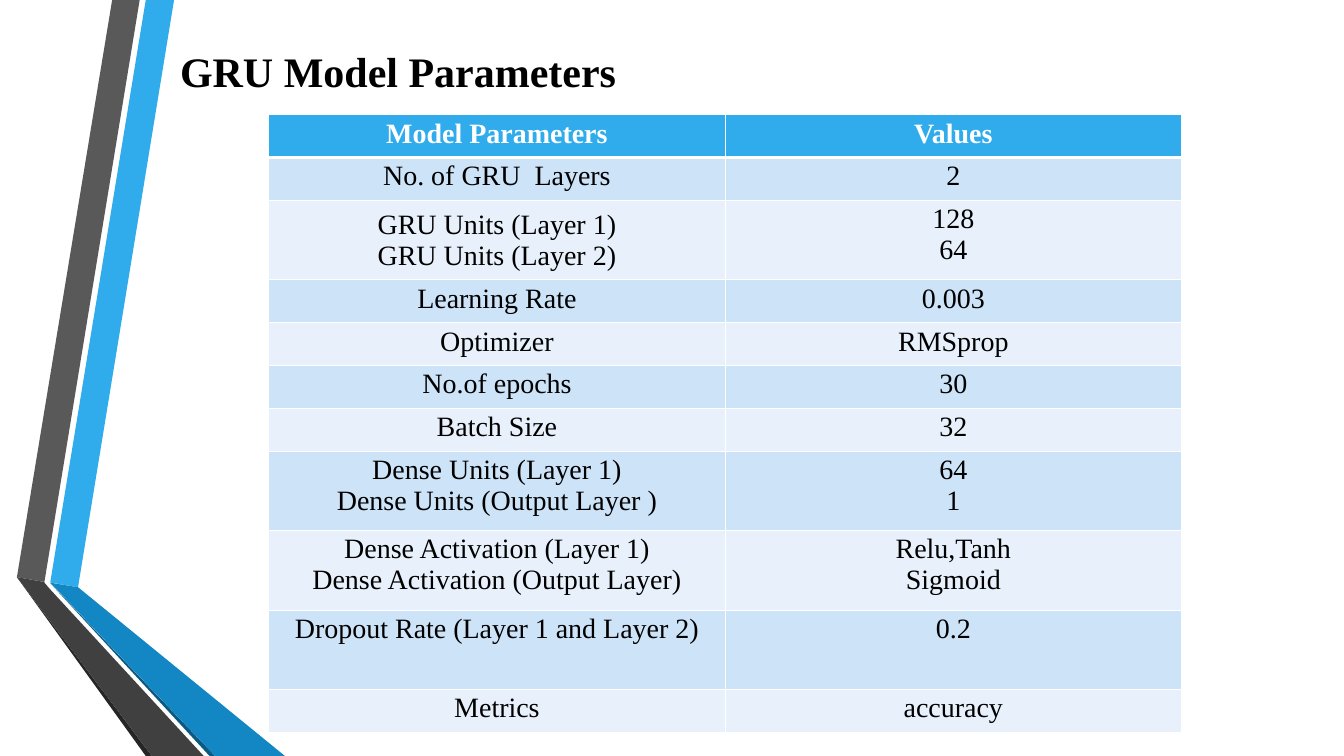
import pptx
import pptx.dml.color
import pptx.enum.text
import pptx.oxml
import pptx.oxml.ns
import pptx.util
from pptx.util import Cm

RIBBONS = [
    ("30ACEC", [(1.9, 22.02), (2.95, 22.2), (6.58, 0), (5.51, 0)]),
    ("595959", [(5.28, 0), (4.24, 0), (0.64, 21.82), (1.68, 22)]),
    ("262626", [(0.64, 21.82), (5.51, 28.58), (5.74, 28.58)]),
    ("0C5A82", [(1.9, 22.05), (7.92, 28.58), (8.13, 28.58)]),
    ("1287C3", [(1.9, 22.03), (8.13, 28.58), (10.77, 28.58), (2.95, 22.2)]),
    ("404040", [(7.7, 28.58), (1.85, 22.23), (1.66, 22), (0.64, 21.82), (5.74, 28.58)]),
]

PARAMETERS = [
    ("Model Parameters", "Values"),
    ("No. of GRU  Layers", "2"),
    ("GRU Units (Layer 1)\nGRU Units (Layer 2)", "128\n64"),
    ("Learning Rate", "0.003"),
    ("Optimizer", "RMSprop"),
    ("No.of epochs", "30"),
    ("Batch Size", "32"),
    ("Dense Units (Layer 1)\nDense Units (Output Layer )", "64\n1"),
    ("Dense Activation (Layer 1)\nDense Activation (Output Layer)", "Relu,Tanh\nSigmoid"),
    ("Dropout Rate (Layer 1 and Layer 2)", "0.2"),
    ("Metrics", "accuracy"),
]
TALL_ROWS = {2, 7, 8, 9}
MIDDLE_CELL = (2, 0)


def rgb(value):
    return pptx.dml.color.RGBColor.from_string(value)


class Deck:
    font = "Times New Roman"
    black = "000000"
    white = "FFFFFF"
    accent = "30ACEC"
    bands = ("E8F1FB", "CDE3F8")

    def __init__(self, prs):
        self.s = prs.slides.add_slide(prs.slide_layouts[5])

    def text(self, tf, text, size, color, bold, align):
        tf.text = text
        for p in tf.paragraphs:
            p.alignment = align
            for r in p.runs:
                r.font.name = self.font
                r.font.size = pptx.util.Pt(size)
                r.font.bold = bold
                r.font.color.rgb = rgb(color)

    def title(self, text, left, top, width, height):
        sp = self.s.shapes.title
        sp.left, sp.top, sp.width, sp.height = Cm(left), Cm(top), Cm(width), Cm(height)
        tf = sp.text_frame
        tf.vertical_anchor = pptx.enum.text.MSO_ANCHOR.MIDDLE
        self.text(tf, text, 45, self.black, True, pptx.enum.text.PP_ALIGN.LEFT)

    def polygon(self, color, points):
        start, *rest = [(Cm(x), Cm(y)) for x, y in points]
        builder = self.s.shapes.build_freeform(*start)
        builder.add_line_segments(rest, close=True)
        sp = builder.convert_to_shape()
        sp.shadow.inherit = False
        sp.fill.solid()
        sp.fill.fore_color.rgb = rgb(color)
        sp.line.fill.background()

    def borders(self, cell, top, bottom):
        tc_pr = cell._tc.get_or_add_tcPr()
        for side, width in (("L", 1), ("R", 1), ("T", top), ("B", bottom)):
            tc_pr.append(pptx.oxml.parse_xml(
                f'<a:ln{side} {pptx.oxml.ns.nsdecls("a")} w="{pptx.util.Pt(width)}">'
                f'<a:solidFill><a:srgbClr val="{self.white}"/></a:solidFill></a:ln{side}>'))

    def table(self, rows, left, top, col_width, row_height, tall_height):
        heights = [tall_height if i in TALL_ROWS else row_height for i in range(len(rows))]
        cols = len(rows[0])
        tbl = self.s.shapes.add_table(len(rows), cols, Cm(left), Cm(top),
                                      Cm(col_width * cols), Cm(sum(heights))).table
        for col in tbl.columns:
            col.width = Cm(col_width)
        for i, values in enumerate(rows):
            header = i == 0
            tbl.rows[i].height = Cm(heights[i])
            for j, value in enumerate(values):
                cell = tbl.cell(i, j)
                self.borders(cell, 3 if i == 1 else 1, 3 if header else 1)
                cell.fill.solid()
                cell.fill.fore_color.rgb = rgb(self.accent if header else self.bands[i % 2])
                self.text(cell.text_frame, value, 30, self.white if header else self.black,
                          header, pptx.enum.text.PP_ALIGN.CENTER)
                if (i, j) == MIDDLE_CELL:
                    cell.vertical_anchor = pptx.enum.text.MSO_ANCHOR.MIDDLE


def main():
    prs = pptx.Presentation()
    prs.slide_width, prs.slide_height = Cm(50.8), Cm(28.58)
    deck = Deck(prs)
    for color, points in RIBBONS:
        deck.polygon(color, points)
    deck.title("GRU Model Parameters", 6.55, 1.57, 25.4, 2.18)
    deck.table(PARAMETERS, 10.16, 4.34, 17.25, 1.62, 3)
    prs.save("out.pptx")


if __name__ == "__main__":
    main()
